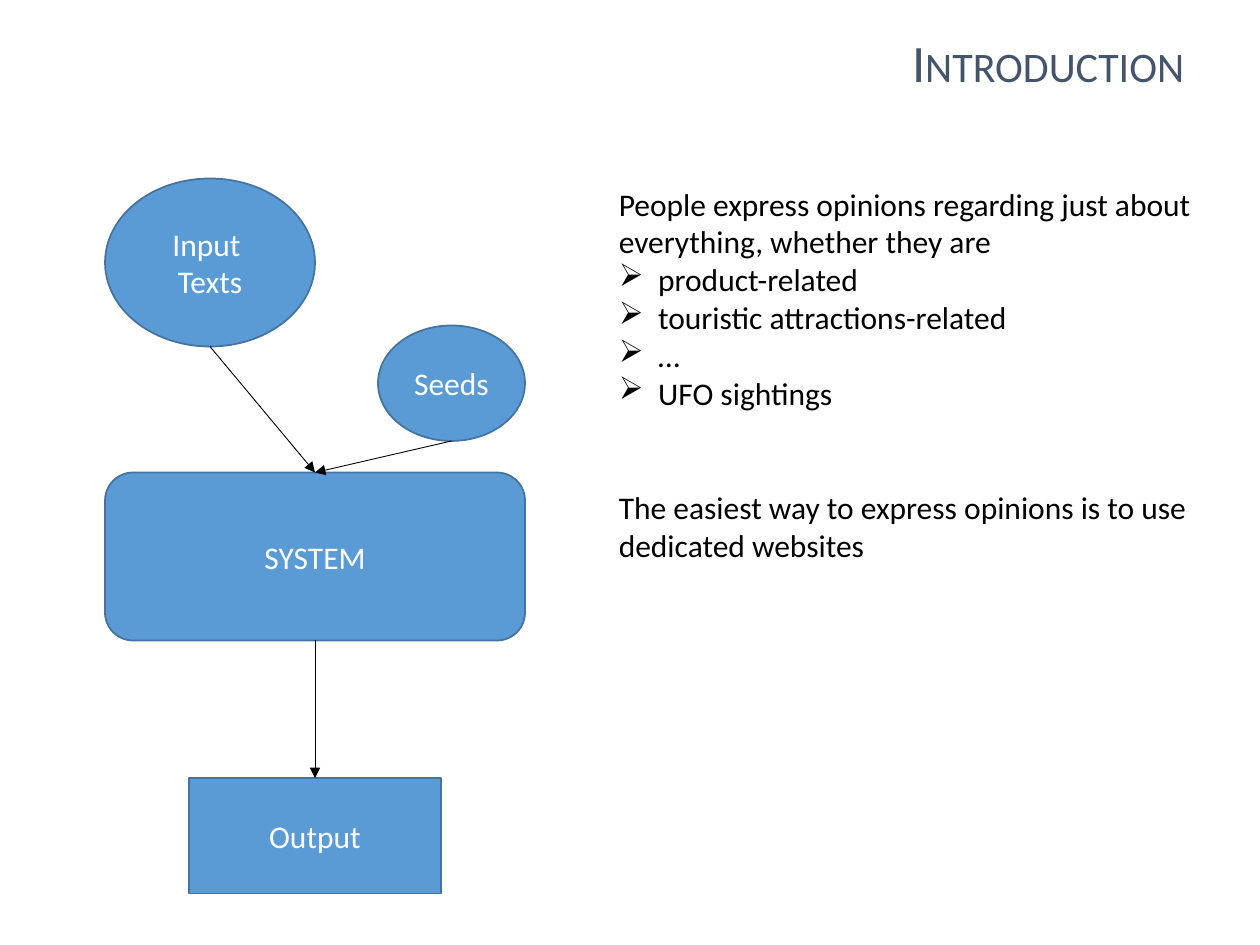
from dataclasses import dataclass

from lxml import etree
from pptx import Presentation
from pptx.dml.color import RGBColor
from pptx.enum import shapes, text
from pptx.oxml import ns
from pptx.util import Pt

FONT = "Calibri"
BLUE = RGBColor(0x5B, 0x9B, 0xD5)
OUTLINE = RGBColor(0x43, 0x73, 0x9E)
SLATE = RGBColor(0x44, 0x54, 0x6A)
WHITE = RGBColor(0xFF, 0xFF, 0xFF)
BLACK = RGBColor(0x00, 0x00, 0x00)
BOTTOM, TOP = 2, 0
BULLET_INDENT = 22.5


@dataclass(frozen=True)
class Node:
    """One step of the flow; lengths in points."""
    lines: tuple[str, ...]
    kind: shapes.MSO_SHAPE
    left: float
    top: float
    width: float
    height: float


@dataclass(frozen=True)
class Line:
    """One paragraph of the body text."""
    words: str
    bullet: bool = False
    space_before: float = 0


INPUT = Node(("Input ", "Texts"), shapes.MSO_SHAPE.OVAL, 60, 102, 120, 96)
SEEDS = Node(("Seeds",), shapes.MSO_SHAPE.OVAL, 216, 186, 84, 66)
SYSTEM = Node(("SYSTEM",), shapes.MSO_SHAPE.ROUNDED_RECTANGLE, 60, 270, 240, 96)
OUTPUT = Node(("Output",), shapes.MSO_SHAPE.RECTANGLE, 108, 444.6, 144, 66)
NODES = (SYSTEM, INPUT, SEEDS, OUTPUT)
ARROWS = ((INPUT, SYSTEM), (SEEDS, SYSTEM), (SYSTEM, OUTPUT))

BODY = (
    Line("People express opinions regarding just about everything, whether they are"),
    Line("product-related", bullet=True),
    Line("touristic attractions-related", bullet=True),
    Line("…", bullet=True),
    Line("UFO sightings", bullet=True),
    Line("The easiest way to express opinions is to use dedicated websites",
         space_before=44),
)


def add_span(para, words: str, size: float, color: RGBColor):
    span = para.add_run()
    span.text = words
    span.font.name = FONT
    span.font.size = Pt(size)
    span.font.color.rgb = color
    return span


def next_paragraph(frame, index: int):
    return frame.add_paragraph() if index else frame.paragraphs[0]


def add_title(page, words: str) -> None:
    title = page.shapes.title
    title.left, title.top, title.width, title.height = Pt(96), Pt(12), Pt(588), Pt(45)
    frame = title.text_frame
    frame.auto_size = text.MSO_AUTO_SIZE.NONE
    frame.vertical_anchor = text.MSO_ANCHOR.BOTTOM
    para = frame.paragraphs[0]
    para.alignment = text.PP_ALIGN.RIGHT
    span = add_span(para, words, 30, SLATE)
    span.font._element.set("cap", "small")


def add_node(page, node: Node):
    box = page.shapes.add_shape(node.kind, Pt(node.left), Pt(node.top),
                                Pt(node.width), Pt(node.height))
    box.shadow.inherit = False
    box.fill.solid()
    box.fill.fore_color.rgb = BLUE
    box.line.color.rgb = OUTLINE
    box.line.width = Pt(1)
    frame = box.text_frame
    frame.vertical_anchor = text.MSO_ANCHOR.MIDDLE
    for index, words in enumerate(node.lines):
        para = next_paragraph(frame, index)
        para.alignment = text.PP_ALIGN.CENTER
        add_span(para, words, 18, WHITE)
    return box


def add_arrow(page, source: Node, target: Node, boxes: dict) -> None:
    """Arrow from the bottom middle of source to the top middle of target."""
    arrow = page.shapes.add_connector(
        shapes.MSO_CONNECTOR.STRAIGHT,
        Pt(source.left + source.width / 2), Pt(source.top + source.height),
        Pt(target.left + target.width / 2), Pt(target.top))
    # Ovals number their sites differently, so only rectangles are joined
    if source.kind != shapes.MSO_SHAPE.OVAL:
        arrow.begin_connect(boxes[source], BOTTOM)
    arrow.end_connect(boxes[target], TOP)
    arrow.line.color.rgb = BLACK
    arrow.line.width = Pt(0.5)
    etree.SubElement(arrow.line._get_or_add_ln(), ns.qn("a:tailEnd"), type="triangle")
    etree.SubElement(arrow._element.spPr, ns.qn("a:effectLst"))


def add_body(page, lines: tuple[Line, ...]) -> None:
    box = page.shapes.add_textbox(Pt(346.5), Pt(102), Pt(361.5), Pt(247))
    frame = box.text_frame
    frame.word_wrap = True
    frame.auto_size = text.MSO_AUTO_SIZE.SHAPE_TO_FIT_TEXT
    for index, line in enumerate(lines):
        para = next_paragraph(frame, index)
        para.space_before = Pt(line.space_before)
        if line.bullet:
            props = para._p.get_or_add_pPr()
            props.set("marL", str(Pt(BULLET_INDENT)))
            props.set("indent", str(-Pt(BULLET_INDENT)))
            etree.SubElement(props, ns.qn("a:buChar"), char="➢")
        add_span(para, line.words, 18, BLACK)


def main() -> None:
    deck = Presentation()
    deck.slide_width, deck.slide_height = Pt(720), Pt(540)
    page = deck.slides.add_slide(deck.slide_layouts[5])  # title only

    add_title(page, "Introduction")

    # Flow diagram
    boxes = {node: add_node(page, node) for node in NODES}
    for source, target in ARROWS:
        add_arrow(page, source, target, boxes)

    # Explanation on the right
    add_body(page, BODY)

    deck.save("out.pptx")


if __name__ == "__main__":
    main()
